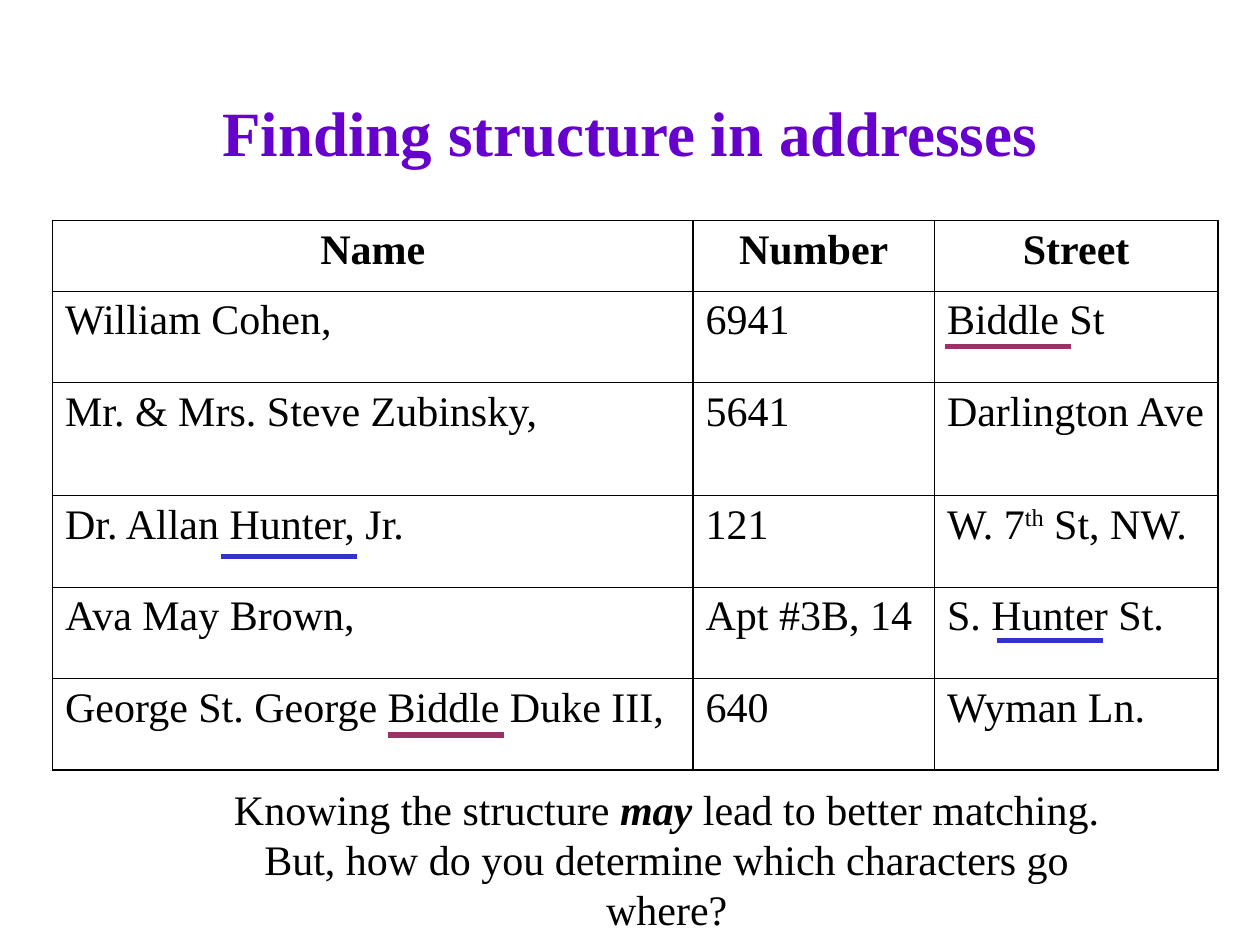
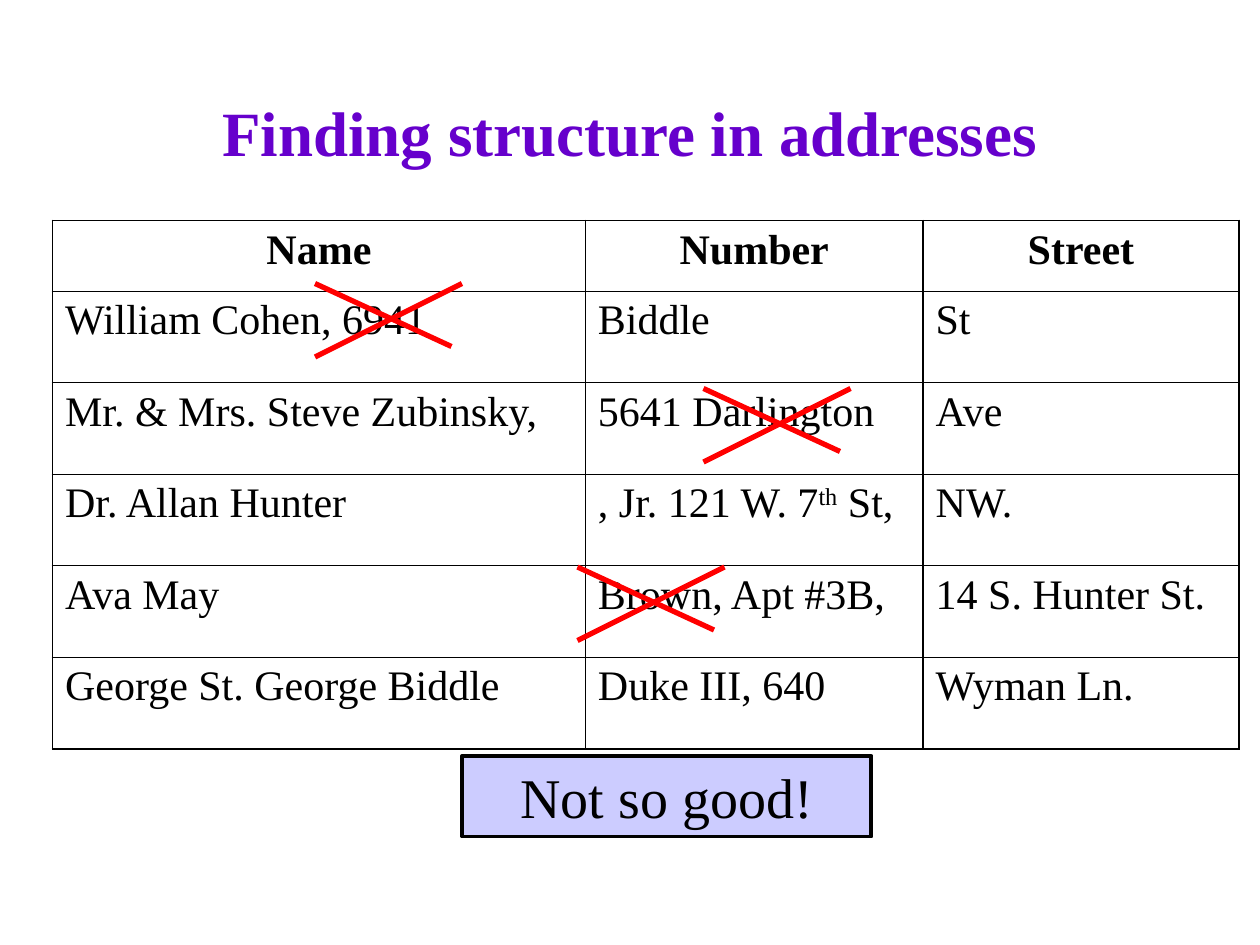
from lxml.etree import SubElement
from pptx import Presentation
from pptx.dml.color import RGBColor
from pptx.enum.shapes import MSO_CONNECTOR, MSO_SHAPE
from pptx.enum.text import MSO_ANCHOR, PP_ALIGN
from pptx.oxml.ns import qn
from pptx.util import Pt

COLORS = {
    "title": "6600CC",
    "text": "000000",
    "blue": "3333CC",
    "plum": "993366",
    "red": "FF0000",
    "badge": "CCCCFF",
}
FONT = "Times New Roman"
TITLE = "Finding structure in addresses"
TITLE_BOX = (54, 30, 612, 90)
TABLE_POS = (30, 126)
HEADER = ["Name", "Number", "Street"]
THICK, THIN = 1.08, 0.45
SUPER = {"superscript": True}
STRONG = {"bold": True, "italic": True}


def rgb(name):
    return RGBColor.from_string(COLORS[name])


def write(p, content, size=24, color="text", align=PP_ALIGN.LEFT, before=0, bold=False):
    """Fill a paragraph from a string or a list of (text, format) runs."""
    p.alignment, p.space_before = align, Pt(before)
    runs = [(content, {})] if isinstance(content, str) else content
    for text, extra in runs:
        r = p.add_run()
        r.text = text
        fmt = {"name": FONT, "size": Pt(size), "bold": bold, **extra}
        raised = fmt.pop("superscript", False)
        for key, value in fmt.items():
            setattr(r.font, key, value)
        r.font.color.rgb = rgb(color)
        if raised:
            r.font._element.set("baseline", "30000")


def set_frame(tf, anchor=MSO_ANCHOR.TOP):
    frame = {"word_wrap": True, "vertical_anchor": anchor,
             "margin_left": Pt(7.2), "margin_right": Pt(7.2),
             "margin_top": Pt(3.6), "margin_bottom": Pt(3.6)}
    for key, value in frame.items():
        setattr(tf, key, value)


def add_text(s, box, paragraphs, anchor=MSO_ANCHOR.TOP, **style):
    tf = s.shapes.add_textbox(*map(Pt, box)).text_frame
    set_frame(tf, anchor)
    for i, content in enumerate(paragraphs):
        p = tf.add_paragraph() if i else tf.paragraphs[0]
        write(p, content, align=PP_ALIGN.CENTER, **style)


def add_line(s, x1, y1, x2, y2, color):
    line = s.shapes.add_connector(MSO_CONNECTOR.STRAIGHT, *map(Pt, (x1, y1, x2, y2)))
    line.line.color.rgb, line.line.width = rgb(color), Pt(3)
    SubElement(line._element.spPr, qn("a:effectLst"))


def set_borders(cell, widths):
    tc_pr = cell._tc.get_or_add_tcPr()
    for side, width in widths.items():
        ln = SubElement(tc_pr, qn(f"a:ln{side}"), w=str(Pt(width)))
        fill = SubElement(ln, qn("a:solidFill"))
        SubElement(fill, qn("a:srgbClr"), val=COLORS["text"])


def add_address_table(s, pos, widths, heights, records):
    rows = [HEADER] + records
    box = (*pos, sum(widths), sum(heights))
    table = s.shapes.add_table(len(rows), len(HEADER), *map(Pt, box)).table
    table.first_row = table.horz_banding = False
    for col, width in zip(table.columns, widths):
        col.width = Pt(width)
    for i, (row, height, values) in enumerate(zip(table.rows, heights, rows)):
        row.height = Pt(height)
        header, last = i == 0, i == len(rows) - 1
        for cell, content in zip(row.cells, values):
            set_borders(cell, {"L": THICK, "R": THICK,
                               "T": THICK if header else THIN,
                               "B": THICK if last else THIN})
            cell.fill.background()
            write(cell.text_frame.paragraphs[0], content, before=6, bold=header,
                  align=PP_ALIGN.CENTER if header else PP_ALIGN.LEFT)


def add_underlines(s, pos, marks):
    left, top = pos
    for x, y, width, color in marks:
        add_line(s, left + x, top + y, left + x + width, top + y, color)


def add_crosses(s, pos, marks):
    for dx, dy in marks:
        x, y = pos[0] + dx, pos[1] + dy
        add_line(s, x + 84, y, x, y + 42, "red")
        add_line(s, x + 78, y + 36, x, y, "red")


def add_badge(s, box, text):
    sp = s.shapes.add_shape(MSO_SHAPE.RECTANGLE, *map(Pt, box))
    sp.shadow.inherit = False
    sp.fill.solid()
    sp.fill.fore_color.rgb = rgb("badge")
    sp.line.color.rgb, sp.line.width = rgb("text"), Pt(2.25)
    set_frame(sp.text_frame)
    write(sp.text_frame.paragraphs[0], text, size=32, align=PP_ALIGN.CENTER)


def add_address_slide(prs, widths, heights, records):
    s = prs.slides.add_slide(prs.slide_layouts[6])
    add_text(s, TITLE_BOX, [TITLE], MSO_ANCHOR.MIDDLE,
             size=36, color="title", bold=True)
    add_address_table(s, TABLE_POS, widths, heights, records)
    return s


def build_correct_split(prs):
    s = add_address_slide(prs, [366, 138, 162], [40.4, 52.3, 64.6, 52.2, 52.3, 52.3], [
        ["William Cohen,", "6941", "Biddle St"],
        ["Mr. & Mrs. Steve Zubinsky,", "5641", "Darlington Ave"],
        ["Dr. Allan Hunter, Jr.", "121",
         [("W. 7", {}), ("th", SUPER), (" St, NW.", {})]],
        ["Ava May Brown,", "Apt #3B, 14", "S. Hunter St."],
        ["George St. George Biddle Duke III,", "640", "Wyman Ln."],
    ])
    # Closing question
    add_text(s, (106.5, 444, 549, 94), [
        [("Knowing the structure ", {}), ("may", STRONG),
         (" lead to better matching.", {})],
        "But, how do you determine which characters go where?",
    ])
    # Words shared by names and streets
    add_underlines(s, TABLE_POS, [
        (96, 192, 78, "blue"), (540, 240, 60, "blue"),
        (192, 294, 66, "plum"), (510, 72, 72, "plum"),
    ])


def build_wrong_split(prs):
    s = add_address_slide(prs, [304.5, 193, 180.5], [40.4] + [52.3] * 5, [
        ["William Cohen, 6941", "Biddle", "St"],
        ["Mr. & Mrs. Steve Zubinsky,", "5641 Darlington", "Ave"],
        ["Dr. Allan Hunter",
         [(", Jr. 121 W. 7", {}), ("th", SUPER), (" St,", {})], "NW."],
        ["Ava May", "Brown, Apt #3B,", "14 S. Hunter St."],
        ["George St. George Biddle", "Duke III, 640", "Wyman Ln."],
    ])
    add_badge(s, (264, 432, 234, 46), "Not so good!")
    # Misplaced words
    add_crosses(s, TABLE_POS, [(150, 36), (300, 198), (372, 96)])


def main():
    prs = Presentation()
    prs.slide_width, prs.slide_height = Pt(720), Pt(540)
    build_correct_split(prs)
    build_wrong_split(prs)
    prs.save("out.pptx")


if __name__ == "__main__":
    main()
